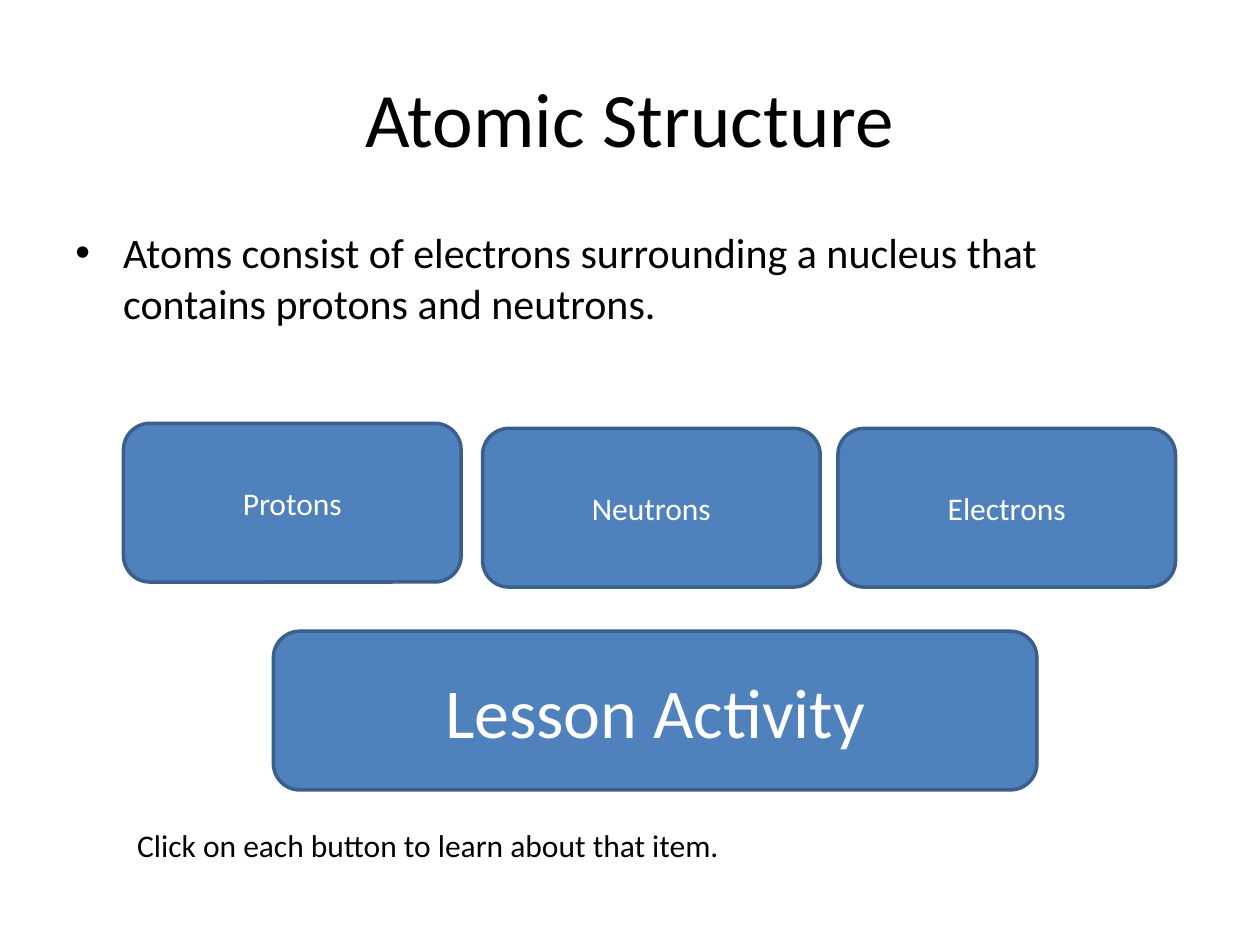
from lxml import etree
from pptx import Presentation
from pptx.dml.color import RGBColor
from pptx.enum import shapes, text
from pptx.oxml.ns import qn
from pptx.util import Inches, Pt

HUES = {"ink": "000000", "fill": "4F81BD", "edge": "3A5F8C", "pale": "FFFFFF"}
MID, TOP = text.MSO_ANCHOR.MIDDLE, text.MSO_ANCHOR.TOP
LEFT, CENTER = text.PP_ALIGN.LEFT, text.PP_ALIGN.CENTER

deck = Presentation()
deck.slide_width, deck.slide_height = Inches(10), Inches(7.5)
slide = deck.slides.add_slide(deck.slide_layouts[6])


def write(shape, words, size, hue, align=LEFT, anchor=TOP):
    frame = shape.text_frame
    frame.word_wrap = True
    frame.vertical_anchor = anchor
    para = frame.paragraphs[0]
    para.alignment = align
    run = para.add_run()
    run.text = words
    run.font.name = "Calibri"
    run.font.size = Pt(size)
    run.font.color.rgb = RGBColor.from_string(HUES[hue])
    return para


# Title, bulleted body and hint
title = slide.shapes.add_textbox(*map(Inches, (0.5, 0.3, 9, 1.25)))
write(title, "Atomic Structure", 44, "ink", CENTER, MID)

body = slide.shapes.add_textbox(*map(Inches, (0.5, 1.75, 9, 4.95)))
point = write(body, "Atoms consist of electrons surrounding a nucleus "
              "that contains protons and neutrons.", 24, "ink")
props = point._p.get_or_add_pPr()
props.set("marL", str(Inches(0.38)))
props.set("indent", str(-Inches(0.38)))
etree.SubElement(props, qn("a:buFont"), typeface="Arial")
etree.SubElement(props, qn("a:buChar"), char="•")

hint = slide.shapes.add_textbox(*map(Inches, (0.99, 6.51, 8.35, 0.4)))
write(hint, "Click on each button to learn about that item.", 18, "ink")

# Buttons: label, left, top, width, text size
WIDE, HIGH = 2.68, 1.26
buttons = [
    ("Protons", 0.98, 3.36, WIDE, 18),
    ("Neutrons", 3.83, 3.4, WIDE, 18),
    ("Electrons", 6.65, 3.4, WIDE, 18),
    ("Lesson Activity", 2.17, 5.01, 6.06, 40),
]
for label, left, top, width, size in buttons:
    button = slide.shapes.add_shape(
        shapes.MSO_SHAPE.ROUNDED_RECTANGLE,
        *map(Inches, (left, top, width, HIGH)))
    button.shadow.inherit = False
    button.fill.solid()
    button.fill.fore_color.rgb = RGBColor.from_string(HUES["fill"])
    button.line.color.rgb = RGBColor.from_string(HUES["edge"])
    button.line.width = Pt(2)
    write(button, label, size, "pale", CENTER, MID)

deck.save("out.pptx")
